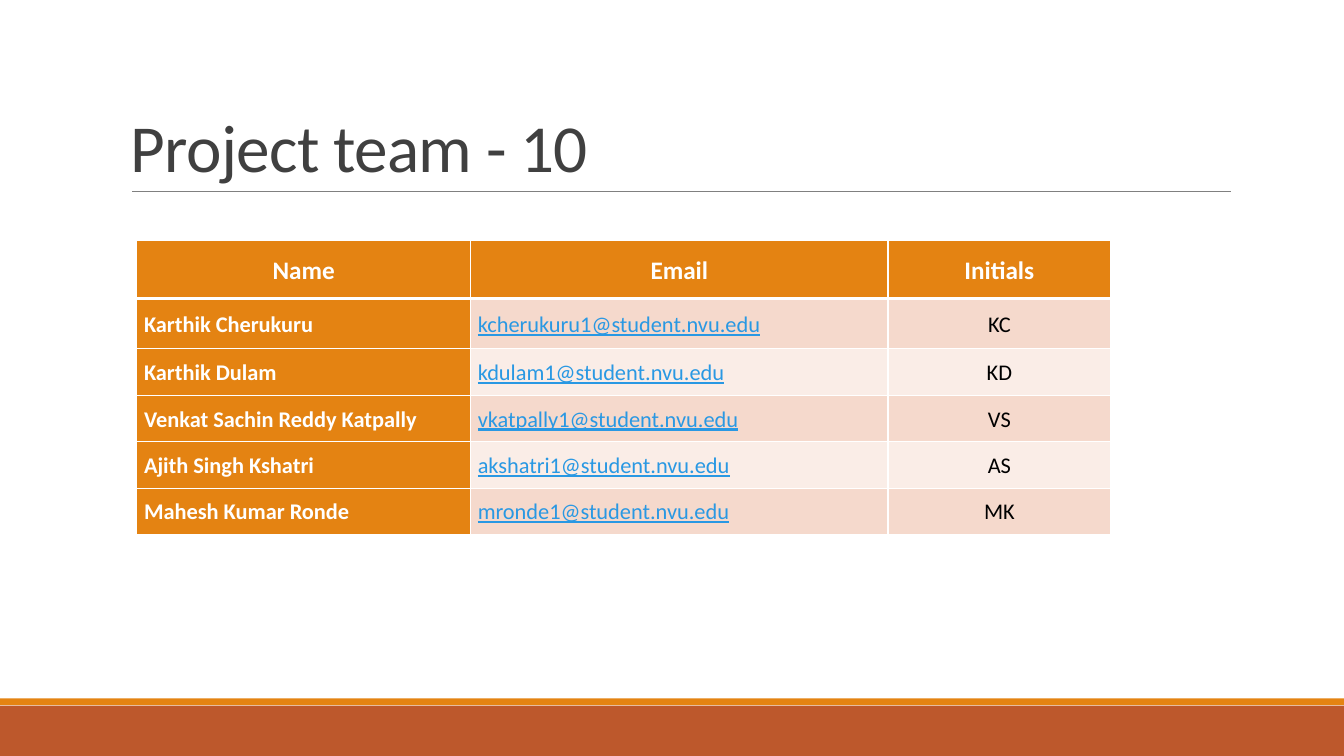
import pptx
import pptx.dml.color
import pptx.enum.shapes
import pptx.enum.text
import pptx.oxml
import pptx.oxml.ns
import pptx.util
from lxml import etree

Cm, Pt = pptx.util.Cm, pptx.util.Pt
RGBColor = pptx.dml.color.RGBColor
PP_ALIGN, MSO_ANCHOR = pptx.enum.text.PP_ALIGN, pptx.enum.text.MSO_ANCHOR

TITLE = "Project team - 10"
HEADER = ("Name", "Email", "Initials")
MEMBERS = [
    ("Karthik Cherukuru", "kcherukuru1", "KC"),
    ("Karthik Dulam", "kdulam1", "KD"),
    ("Venkat Sachin Reddy Katpally", "vkatpally1", "VS"),
    ("Ajith Singh Kshatri", "akshatri1", "AS"),
    ("Mahesh Kumar Ronde", "mronde1", "MK"),
]
DOMAIN = "@student.nvu.edu"
COL_WIDTHS = (8.41, 10.52, 5.61)
ROW_HEIGHTS = (1.45, 1.27) + (1.17,) * 4

FONT = "Calibri"
WHITE = RGBColor(0xFF, 0xFF, 0xFF)
BLACK = RGBColor(0, 0, 0)
ORANGE = RGBColor(0xE4, 0x83, 0x12)
RUST = RGBColor(0xBD, 0x58, 0x2C)
GREY = RGBColor(0x80, 0x80, 0x80)
DARK = RGBColor(0x40, 0x40, 0x40)
LINK = RGBColor(0x29, 0x98, 0xE3)
BANDS = (RGBColor(0xF5, 0xD9, 0xCC), RGBColor(0xFA, 0xED, 0xE7))


def add_bar(s, top, height, color):
    sp = s.shapes.add_shape(pptx.enum.shapes.MSO_SHAPE.RECTANGLE,
                            0, Cm(top), Cm(33.87), Cm(height))
    sp.shadow.inherit = False
    sp.fill.solid()
    sp.fill.fore_color.rgb = color
    sp.line.fill.background()


def add_rule(s):
    ln = s.shapes.add_connector(pptx.enum.shapes.MSO_CONNECTOR.STRAIGHT,
                                Cm(3.33), Cm(4.83), Cm(31.01), Cm(4.83))
    ln.line.color.rgb = GREY
    ln.line.width = Pt(0.5)
    etree.SubElement(ln._element.spPr, pptx.oxml.ns.qn("a:effectLst"))


def style_text(p, size, color, spacing, bold=False, underline=False):
    p.line_spacing = spacing
    font = p.runs[0].font
    font.name, font.size, font.bold = FONT, Pt(size), bold
    font.underline = underline
    font.color.rgb = color


def add_title(s):
    tf = s.shapes.add_textbox(Cm(3.05), Cm(0.79), Cm(27.94), Cm(4.04)).text_frame
    tf.word_wrap = True
    tf.vertical_anchor = MSO_ANCHOR.BOTTOM
    p = tf.paragraphs[0]
    p.text = TITLE
    style_text(p, 48, DARK, 0.85)
    p.runs[0].font._element.set("spc", "-50")


def set_borders(cell, top, bottom):
    """White borders; top and bottom widths in points, sides 1 pt."""
    tcPr = cell._tc.get_or_add_tcPr()
    for side, width in (("L", 1), ("R", 1), ("T", top), ("B", bottom)):
        tcPr.append(pptx.oxml.parse_xml(
            f'<a:ln{side} {pptx.oxml.ns.nsdecls("a")} w="{Pt(width)}"><a:solidFill>'
            f'<a:srgbClr val="{WHITE}"/></a:solidFill></a:ln{side}>'))


def add_team_table(s):
    rows = [HEADER] + [(name, user + DOMAIN, ini) for name, user, ini in MEMBERS]
    table = s.shapes.add_table(len(rows), len(HEADER), Cm(3.45), Cm(6.07),
                               Cm(sum(COL_WIDTHS)), Cm(sum(ROW_HEIGHTS))).table
    for col, width in zip(table.columns, COL_WIDTHS):
        col.width = Cm(width)
    for row, height in zip(table.rows, ROW_HEIGHTS):
        row.height = Cm(height)
    for i, values in enumerate(rows):
        for j, value in enumerate(values):
            cell = table.cell(i, j)
            head = i == 0
            strong = head or j == 0
            email = j == 1 and not head
            set_borders(cell, 3 if i == 1 else 1, 3 if head else 1)
            cell.fill.solid()
            cell.fill.fore_color.rgb = ORANGE if strong else BANDS[(i - 1) % 2]
            cell.margin_left = cell.margin_right = Cm(0.18)
            cell.margin_top = cell.margin_bottom = 0
            cell.vertical_anchor = MSO_ANCHOR.MIDDLE
            p = cell.text_frame.paragraphs[0]
            p.text = value
            p.alignment = PP_ALIGN.CENTER if head or j == 2 else PP_ALIGN.LEFT
            color = WHITE if strong else LINK if email else BLACK
            style_text(p, 18 if head else 16, color, 1.07, strong, email)


def main():
    prs = pptx.Presentation()
    prs.slide_width, prs.slide_height = Cm(33.87), Cm(19.05)
    s = prs.slides.add_slide(prs.slide_layouts[6])
    add_bar(s, 17.78, 1.27, RUST)
    add_bar(s, 17.6, 0.17, ORANGE)
    add_rule(s)
    add_title(s)
    add_team_table(s)
    prs.save("out.pptx")


if __name__ == "__main__":
    main()
